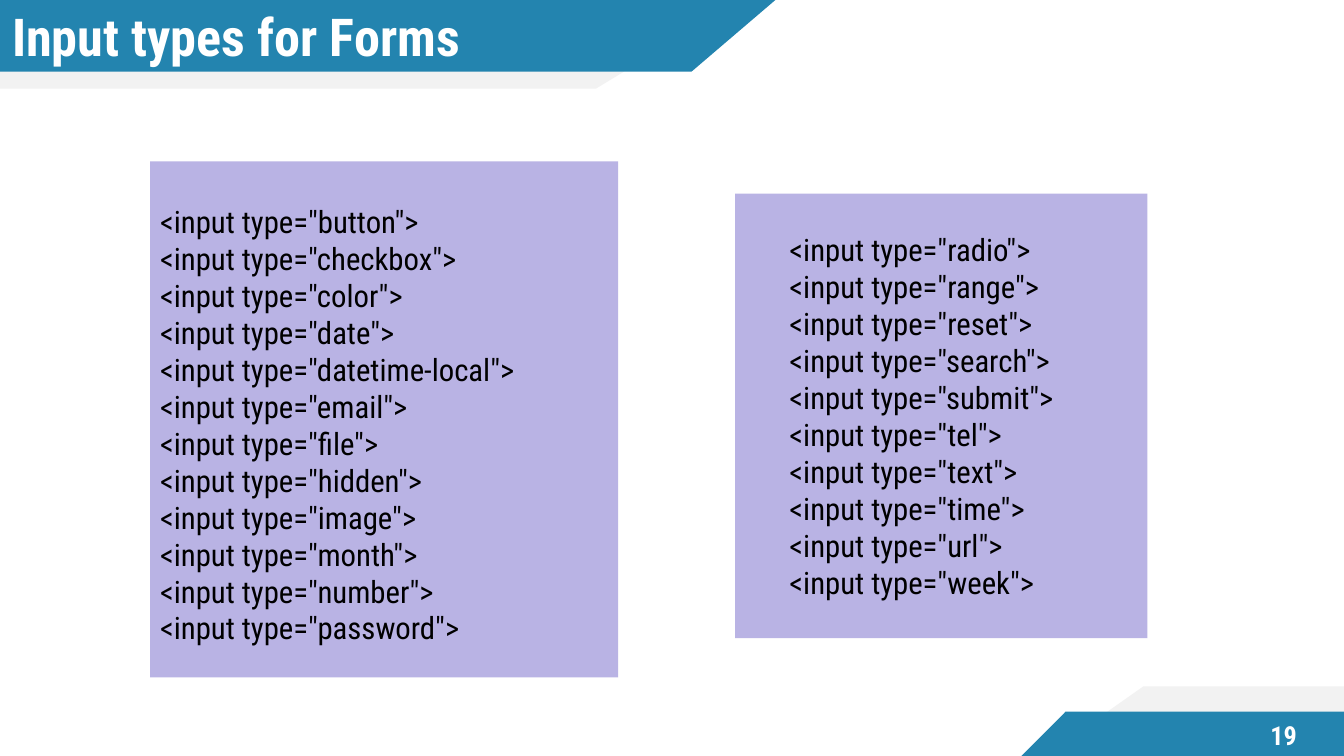
"""Build the slide that lists the input types for forms."""
from dataclasses import dataclass

from pptx import Presentation
from pptx.dml.color import RGBColor
from pptx.enum.shapes import MSO_SHAPE
from pptx.enum.text import MSO_ANCHOR, MSO_AUTO_SIZE, PP_ALIGN
from pptx.util import Inches, Pt

RECT = MSO_SHAPE.RECTANGLE
MIDDLE = MSO_ANCHOR.MIDDLE
FIXED = MSO_AUTO_SIZE.NONE
LEFT, CENTER = PP_ALIGN.LEFT, PP_ALIGN.CENTER

WIDE, HIGH = 13.33, 7.5
TITLE = "Input types for Forms"
NUMBER = "19"
PANELS = [
    {"box": (1.49, 1.6, 4.64, 5.12), "indent": 0.1, "drop": 0.15,
     "types": ["button", "checkbox", "color", "date", "datetime-local",
               "email", "file", "hidden", "image", "month", "number",
               "password"]},
    {"box": (7.29, 1.92, 4.09, 4.41), "indent": 0.54, "drop": 0.05,
     "types": ["radio", "range", "reset", "search", "submit", "tel",
               "text", "time", "url", "week"]},
]
BANDS = [
    ("pale", [(0, 0), (7.36, 0), (5.91, 0.88), (0, 0.88)]),
    ("blue", [(0, 0), (7.69, 0), (6.86, 0.71), (0, 0.71)]),
    ("pale", [(11.34, 6.81), (WIDE, 6.81), (WIDE, HIGH), (10.36, HIGH)]),
    ("blue", [(10.57, 7.06), (WIDE, 7.06), (WIDE, HIGH), (10.13, HIGH)]),
]


@dataclass(frozen=True)
class Theme:
    """Colours, font and type sizes."""
    blue: str = "2384AF"
    pale: str = "F2F2F2"
    lilac: str = "B9B3E4"
    white: str = "FFFFFF"
    black: str = "000000"
    font: str = "Roboto Condensed"
    title: float = 37.3
    code: float = 22
    pitch: float = 26.4
    number: float = 18.7


THEME = Theme()


def paint(shape, color):
    """Give a shape a flat fill without line or shadow."""
    shape.shadow.inherit = False
    shape.fill.solid()
    shape.fill.fore_color.rgb = RGBColor.from_string(color)
    shape.line.fill.background()


def write(shape, text, size, color, align=LEFT, bold=False,
          inset=(0, 0, 0, 0)):
    """Set the text of a shape and format its runs."""
    frame = shape.text_frame
    frame.text = text
    frame.word_wrap = True
    frame.auto_size = FIXED
    frame.vertical_anchor = MIDDLE
    (frame.margin_left, frame.margin_top, frame.margin_right,
     frame.margin_bottom) = map(Inches, inset)
    for line in frame.paragraphs:
        line.alignment = align
        for run in line.runs:
            run.font.name = THEME.font
            run.font.size = Pt(size)
            run.font.bold = bold
            run.font.color.rgb = RGBColor.from_string(color)
    return frame


def add_band(shapes, color, points):
    """Draw a slanted band through the given points."""
    start, *rest = [(Inches(x), Inches(y)) for x, y in points]
    path = shapes.build_freeform(*start)
    path.add_line_segments(rest, close=True)
    paint(path.convert_to_shape(), color)


def add_panel(shapes, box, types, indent, drop):
    """Draw a panel with one input tag a line."""
    panel = shapes.add_shape(RECT, *map(Inches, box))
    paint(panel, THEME.lilac)
    text = "\n".join(f'<input type="{kind}">' for kind in types)
    frame = write(panel, text, THEME.code, THEME.black,
                  inset=(indent, drop, 0.1, 0.05))
    for line in frame.paragraphs:
        line.line_spacing = Pt(THEME.pitch)


def main():
    """Build and save the slide."""
    deck = Presentation()
    deck.slide_width, deck.slide_height = Inches(WIDE), Inches(HIGH)
    slide = deck.slides.add_slide(deck.slide_layouts[5])
    shapes = slide.shapes
    for name, points in BANDS:
        add_band(shapes, getattr(THEME, name), points)

    title = shapes.title
    title.left, title.top = Inches(0), Inches(0.04)
    title.width, title.height = Inches(7.36), Inches(0.63)
    write(title, TITLE, THEME.title, THEME.white, bold=True,
          inset=(0.12, 0, 0, 0))
    shapes._spTree.append(title._element)

    for panel in PANELS:
        add_panel(shapes, **panel)

    number = shapes.add_textbox(*map(Inches, (12.29, 7.07, 0.88, 0.45)))
    write(number, NUMBER, THEME.number, THEME.white, CENTER, True,
          inset=(0.1, 0.1, 0.1, 0.1))
    deck.save("out.pptx")


if __name__ == "__main__":
    main()
